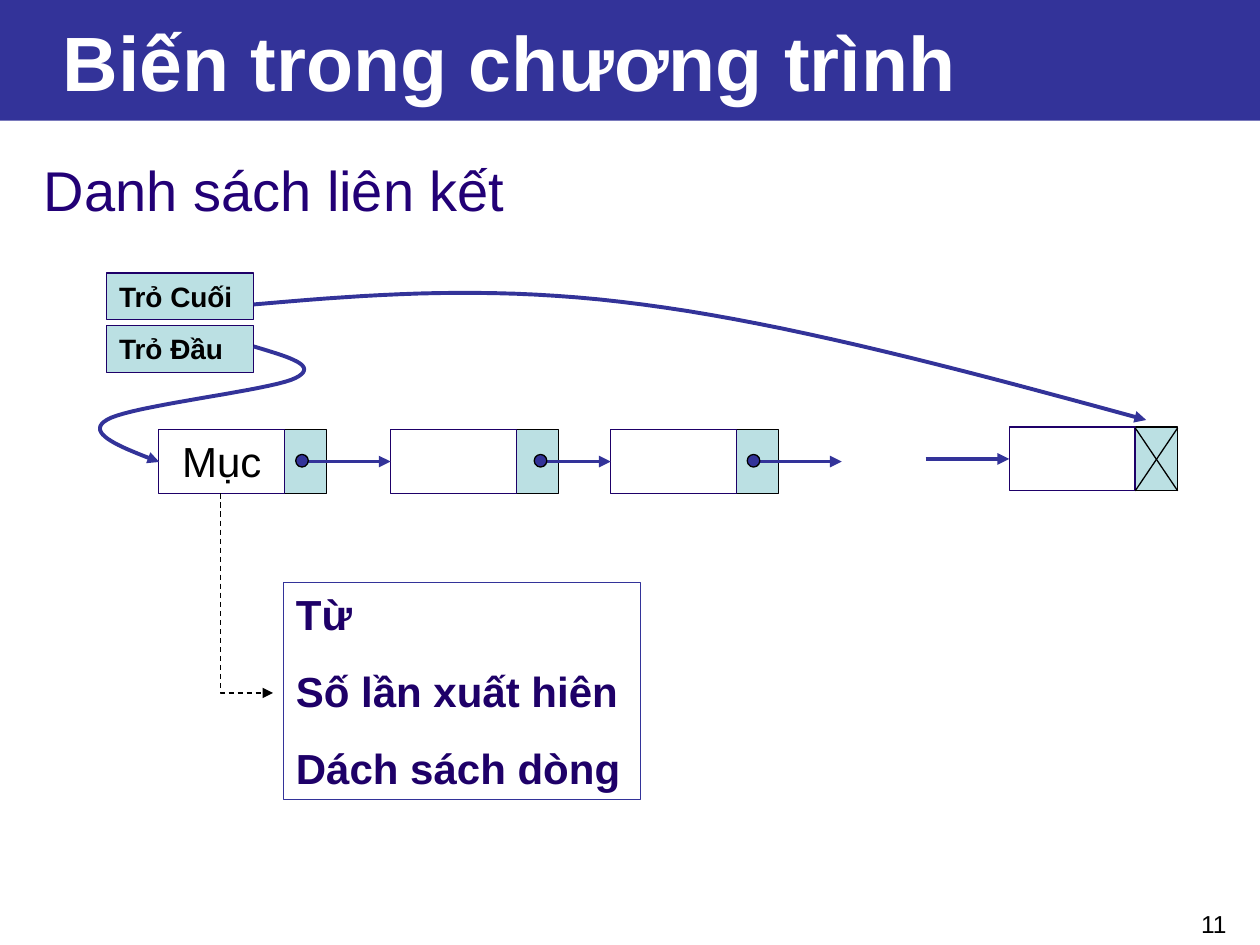
from pptx import Presentation
from pptx import util as u
from pptx.dml import color
from pptx.enum import dml, shapes, text
from pptx.oxml import ns
from lxml import etree

NAVY, INK, TEAL, BLACK = "333399", "1E0068", "BBE0E3", "000000"
RECT = shapes.MSO_SHAPE.RECTANGLE
OVAL = shapes.MSO_SHAPE.OVAL
LEFT, MID, RIGHT = text.PP_ALIGN.LEFT, text.PP_ALIGN.CENTER, text.PP_ALIGN.RIGHT


def rgb(code):
    return color.RGBColor.from_string(code)


def put(obj, vals):
    for key, val in vals.items():
        setattr(obj, key, val)


def write(shape, lines, size, code, bold=False, align=LEFT, gap=0, lead=1.0,
          left=7.2, anchor=text.MSO_ANCHOR.TOP):
    frame = shape.text_frame
    put(frame, dict(word_wrap=True, vertical_anchor=anchor,
                    margin_left=u.Pt(left), margin_right=u.Pt(7.2),
                    margin_top=u.Pt(3.6), margin_bottom=u.Pt(3.6)))
    for i, line in enumerate(lines):
        para = frame.add_paragraph() if i else frame.paragraphs[0]
        put(para, dict(alignment=align, space_before=u.Pt(gap), line_spacing=lead))
        run = para.add_run()
        run.text = line
        put(run.font, dict(name="Arial", size=u.Pt(size), bold=bold))
        run.font.color.rgb = rgb(code)


def paint(shape, fill, line):
    shape.shadow.inherit = False
    if fill:
        shape.fill.solid()
        shape.fill.fore_color.rgb = rgb(fill)
    else:
        shape.fill.background()
    if line:
        shape.line.color.rgb = rgb(line)
        shape.line.width = u.Pt(0.75)
    else:
        shape.line.fill.background()


def box(slide, x, y, w, h, fill=None, line=None, kind=RECT):
    shape = slide.shapes.add_shape(kind, u.Pt(x), u.Pt(y), u.Pt(w), u.Pt(h))
    paint(shape, fill, line)
    return shape


def label(slide, x, y, w, h):
    return slide.shapes.add_textbox(u.Pt(x), u.Pt(y), u.Pt(w), u.Pt(h))


def tip(shape):
    etree.SubElement(shape.line._get_or_add_ln(), ns.qn("a:tailEnd"), type="triangle")


def link(slide, x1, y1, x2, y2, code=NAVY, width=2.25, arrow=True):
    line = slide.shapes.add_connector(shapes.MSO_CONNECTOR.STRAIGHT,
                                      u.Pt(x1), u.Pt(y1), u.Pt(x2), u.Pt(y2))
    line.line.color.rgb = rgb(code)
    line.line.width = u.Pt(width)
    etree.SubElement(line._element.spPr, ns.qn("a:effectLst"))
    if arrow:
        tip(line)
    return line


def bend(pts, steps=20):
    out = [pts[0]]
    for i in range(0, len(pts) - 1, 3):
        a, b, c, d = pts[i:i + 4]
        for n in range(1, steps + 1):
            t = n / steps
            s = 1 - t
            out.append(tuple(s**3 * a[k] + 3 * s * s * t * b[k]
                             + 3 * s * t * t * c[k] + t**3 * d[k] for k in (0, 1)))
    return out


def trace(slide, pts, code, width, dash=None):
    pts = [(u.Pt(x), u.Pt(y)) for x, y in pts]
    form = slide.shapes.build_freeform(*pts[0])
    form.add_line_segments(pts[1:], close=False)
    shape = form.convert_to_shape()
    paint(shape, None, code)
    put(shape.line, dict(width=u.Pt(width), dash_style=dash))
    tip(shape)


def node(slide, x, y):
    box(slide, x + 72, y, 24, 36.5, TEAL, BLACK)
    return box(slide, x, y, 72, 36.5, None, INK)


def chain(slide):
    first, second, third = [node(slide, x, 245.5) for x in (90.7, 223.2, 349)]
    last = node(slide, 576.7, 244)
    write(first, ["Mục"], 24, BLACK, align=MID, gap=15)
    for top, end in ((244.5, 280.5), (280.5, 244.5)):
        link(slide, 648.7, top, 673, end, BLACK, 0.75, False)
    for x, y, end, goal in ((175, 263.75, 223.2, second), (307, 263.75, 349, third),
                            (433, 263.75, 481, None), (529, 262.25, 576.7, last)):
        arrow = link(slide, x, y, end, y)
        if goal:
            arrow.end_connect(goal, 1)
    for x in (169, 305.3, 427):
        box(slide, x, 259.7, 7.2, 7.2, NAVY, BLACK, OVAL)


def main():
    deck = Presentation()
    put(deck, dict(slide_width=u.Pt(720), slide_height=u.Pt(540)))
    slide = deck.slides.add_slide(deck.slide_layouts[6])

    write(label(slide, 558, 516.2, 150, 17.3), ["11"], 14, BLACK, align=RIGHT)
    write(box(slide, 0, 0, 720, 69, NAVY), ["Biến trong chương trình"], 44, "FFFFFF",
          True, left=36, anchor=text.MSO_ANCHOR.MIDDLE)
    write(label(slide, 18, 77.8, 684, 72), ["Danh sách liên kết"], 32, "220076",
          gap=8, lead=1.2)

    for y, name in ((186, "Trỏ Đầu"), (156, "Trỏ Cuối")):
        write(box(slide, 61, y, 84, 26.7, TEAL, INK), [name], 16, BLACK, True, gap=10)
    chain(slide)
    trace(slide, bend([(145, 174), (214, 168), (282, 162.7), (367, 174),
                       (452, 185), (554, 212.4), (655, 240)]), NAVY, 2.25)
    trace(slide, bend([(145, 198), (164, 203.8), (183, 208.8), (169, 216),
                       (155, 223.2), (74, 231.8), (61, 240),
                       (48, 247.7), (70, 256), (91, 264)]), NAVY, 2.25)

    write(box(slide, 162, 333, 204, 124, None, NAVY),
          ["Từ", "Số lần xuất hiên", "Dách sách dòng"], 24, INK, True, gap=15)
    trace(slide, [(126, 282), (126, 396), (156, 396)], BLACK, 0.75,
          dml.MSO_LINE.DASH)
    deck.save("out.pptx")


if __name__ == "__main__":
    main()
